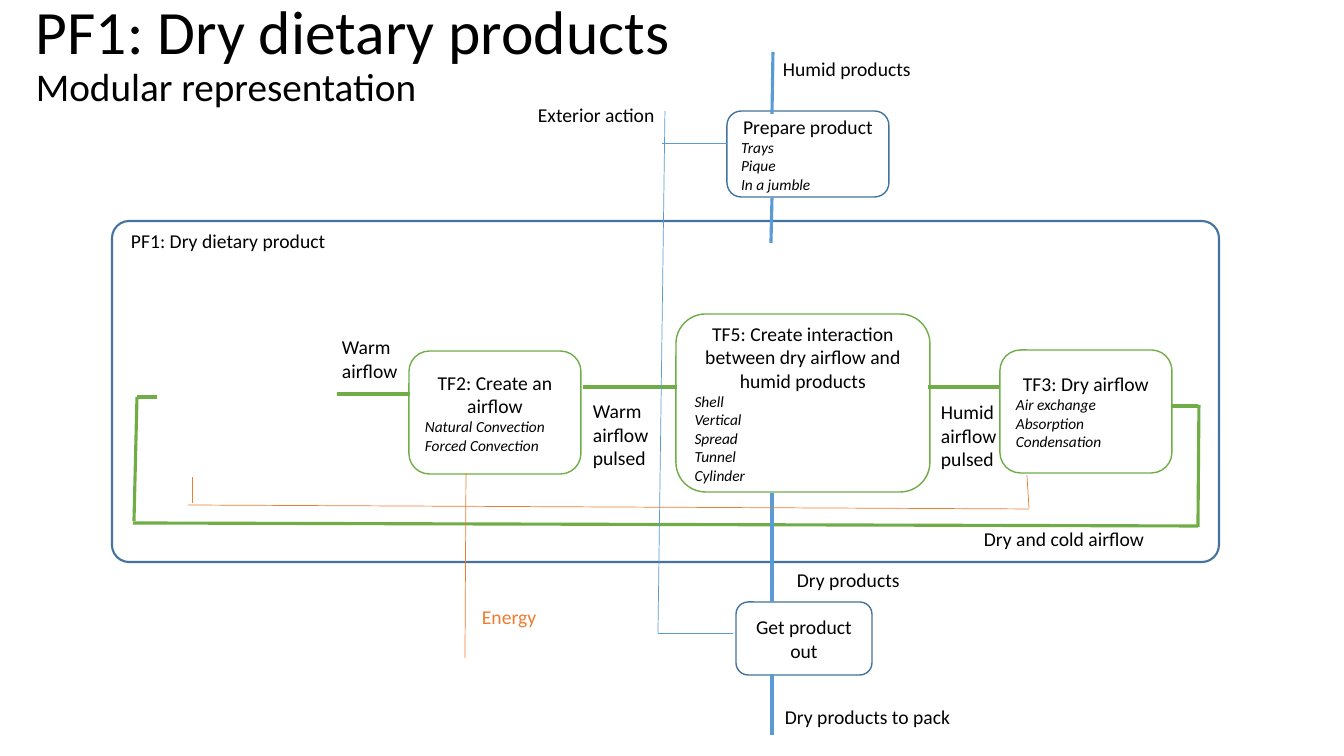
from dataclasses import dataclass
from lxml.etree import SubElement
from pptx import Presentation
from pptx.dml.color import RGBColor
from pptx.enum.shapes import MSO_CONNECTOR, MSO_SHAPE
from pptx.enum.text import MSO_ANCHOR, PP_ALIGN
from pptx.oxml.ns import qn
from pptx.util import Pt

SCALE = 914400 / 100.8


@dataclass(frozen=True)
class Theme:
    font: str = "Calibri"
    ink: str = "000000"
    frame: str = "43739E"
    air: str = "70AD47"
    power: str = "ED7D31"
    goods: str = "5B9BD5"
    title: int = 44
    subtitle: int = 28
    body: int = 14
    option: int = 11
    thick: float = 2.25
    border: float = 1.5
    edge: float = 1
    thin: float = 0.5


def emu(*values):
    return [round(value * SCALE) for value in values]


def write(para, text, size, color, font, italic=False, align=PP_ALIGN.LEFT, spacing=None):
    run = para.add_run()
    run.text = text
    run.font.name, run.font.size, run.font.italic = font, Pt(size), italic
    run.font.color.rgb = RGBColor.from_string(color)
    para.alignment = align
    if spacing:
        para.line_spacing = spacing


class Board:
    def __init__(self, slide, theme):
        self.shapes = slide.shapes
        self.theme = theme

    def fill(self, frame, lines, anchor):
        """Each line is a text and its format."""
        frame.word_wrap = True
        frame.vertical_anchor = anchor
        for index, (text, style) in enumerate(lines):
            para = frame.add_paragraph() if index else frame.paragraphs[0]
            look = {"size": self.theme.body, "color": self.theme.ink, "font": self.theme.font}
            write(para, text, **(look | style))

    def stroke(self, line, color, width):
        line.color.rgb = RGBColor.from_string(color)
        line.width = Pt(width)

    def box(self, place, color, width, radius=None, name=None, options=()):
        shape = self.shapes.add_shape(MSO_SHAPE.ROUNDED_RECTANGLE, *emu(*place))
        shape.shadow.inherit = False
        shape.fill.background()
        self.stroke(shape.line, color, width)
        if radius is not None:
            shape.adjustments[0] = radius
        if name:
            small = {"size": self.theme.option, "italic": True}
            lines = [(name, {"align": PP_ALIGN.CENTER})]
            lines += [(option, small) for option in options]
            self.fill(shape.text_frame, lines, MSO_ANCHOR.MIDDLE)

    def label(self, place, *lines, anchor=MSO_ANCHOR.TOP):
        self.fill(self.shapes.add_textbox(*emu(*place)).text_frame, lines, anchor)

    def link(self, ends, color, width):
        line = self.shapes.add_connector(MSO_CONNECTOR.STRAIGHT, *emu(*ends))
        self.stroke(line.line, color, width)
        SubElement(line._element.spPr, qn("a:effectLst"))


theme = Theme()
deck = Presentation()
deck.slide_width, deck.slide_height = emu(1344, 756)
board = Board(deck.slides.add_slide(deck.slide_layouts[6]), theme)

# System frame
board.box((112, 221, 1107, 341), theme.frame, theme.border, radius=0.05)

# Function modules
modules = [
    ((409, 351, 172, 123), theme.air, "TF2: Create an airflow",
     ("Natural Convection", "Forced Convection")),
    ((1000, 350, 172, 123), theme.air, "TF3: Dry airflow",
     ("Air exchange", "Absorption", "Condensation")),
    ((676, 314, 254, 178), theme.air,
     "TF5: Create interaction between dry airflow and humid products",
     ("Shell", "Vertical", "Spread", "Tunnel", "Cylinder")),
    ((727, 111, 162, 86), theme.frame, "Prepare product",
     ("Trays", "Pique", "In a jumble")),
    ((736, 602, 136, 73), theme.frame, "Get product out", ()),
]
for place, color, name, options in modules:
    board.box(place, color, theme.edge, name=name, options=options)

# Flows: air, products, energy, exterior action
flows = [
    (theme.air, theme.thick, [
        (157, 397, 137, 397), (410, 394, 337, 394), (677, 387, 583, 387),
        (1000, 387, 928, 387), (1198, 406, 1172, 406), (1198, 526, 133, 523),
        (1198, 527, 1199, 405), (134, 521, 137, 397)]),
    (theme.goods, theme.thick, [
        (772, 114, 773, 52), (772, 602, 772, 493),
        (771, 243, 772, 198), (772, 735, 772, 674)]),
    (theme.power, theme.thin, [
        (192, 503, 192, 477), (465, 658, 466, 473),
        (1029, 509, 188, 505), (1029, 508, 1027, 475)]),
    (theme.goods, theme.thin, [
        (658, 633, 665, 111), (733, 633, 658, 633), (727, 143, 662, 143)]),
]
for color, width, routes in flows:
    for ends in routes:
        board.link(ends, color, width)

# Flow labels
labels = [
    ("Energy", (472, 600, 117, 34), theme.power),
    ("Warm airflow", (332, 330, 78, 57), theme.ink),
    ("Warm airflow pulsed", (583, 394, 120, 82), theme.ink),
    ("Humid airflow pulsed", (931, 395, 111, 82), theme.ink),
    ("Dry and cold airflow", (974, 522, 241, 34), theme.ink),
    ("PF1: Dry dietary product", (121, 224, 233, 34), theme.ink),
    ("Dry products to pack", (775, 700, 198, 34), theme.ink),
    ("Dry products", (787, 563, 208, 34), theme.ink),
    ("Exterior action", (528, 98, 158, 34), theme.ink),
    ("Humid products", (773, 52, 155, 34), theme.ink),
]
for text, place, color in labels:
    board.label(place, (text, {"color": color}))

# Title
board.label((26, 0, 1159, 115),
            ("PF1: Dry dietary products", {"size": theme.title, "spacing": 0.9}),
            ("Modular representation", {"size": theme.subtitle, "spacing": 0.9}),
            anchor=MSO_ANCHOR.BOTTOM)

deck.save("out.pptx")
